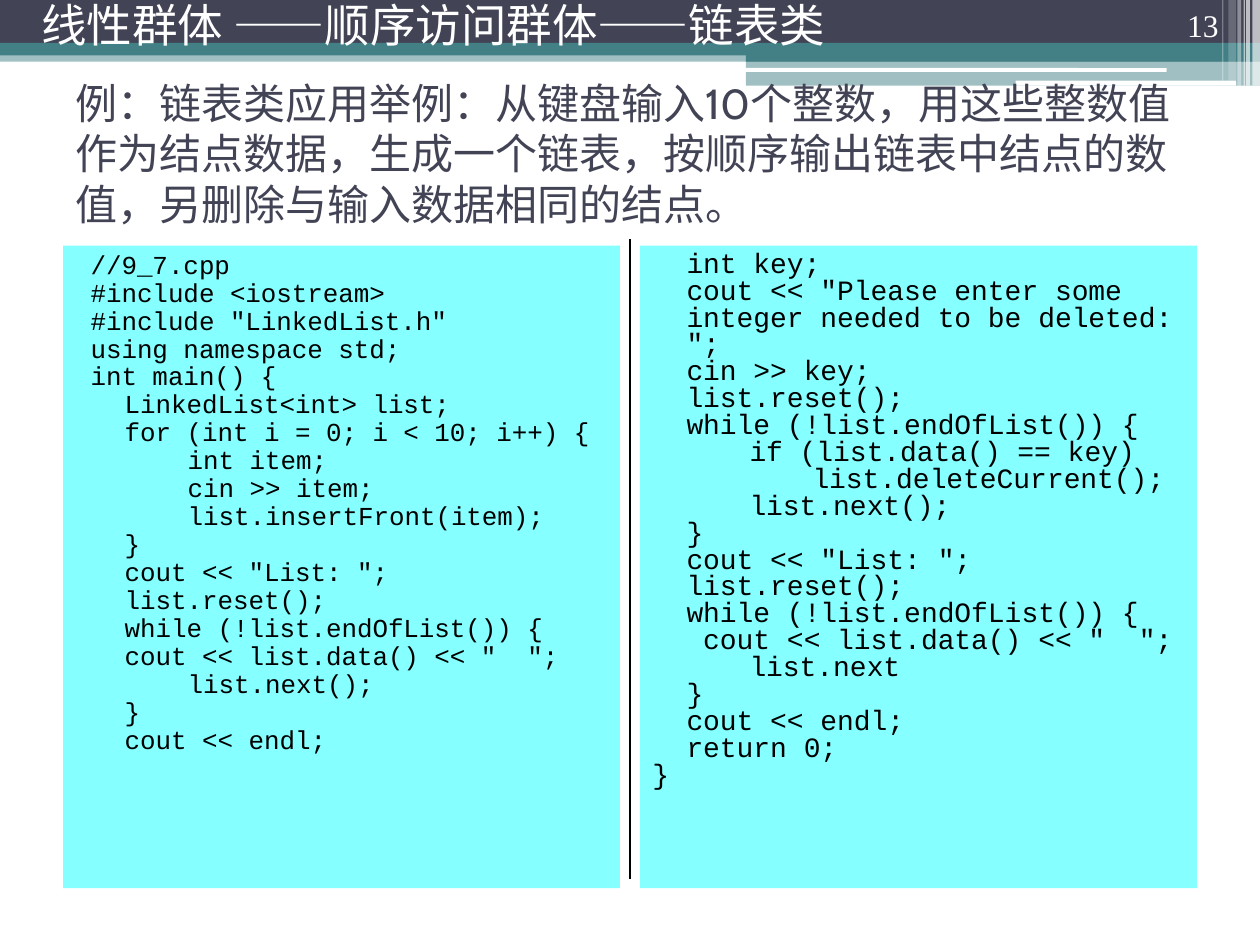
from pptx import Presentation
from pptx.dml.color import RGBColor
from pptx.enum.shapes import MSO_CONNECTOR, MSO_SHAPE
from pptx.enum.text import MSO_ANCHOR, PP_ALIGN
from pptx.oxml.ns import qn
from pptx.util import Inches, Pt
from lxml.etree import SubElement

NAVY = RGBColor(0x42, 0x44, 0x56)
TEAL = RGBColor(0x43, 0x80, 0x86)
CYAN = RGBColor(0x85, 0xFF, 0xFF)
WHITE = RGBColor(0xFF, 0xFF, 0xFF)
BLACK = RGBColor(0, 0, 0)

HEADING = "线性群体 ——顺序访问群体——链表类"
TASK = ("例：链表类应用举例：从键盘输入10个整数，用这些整数值作为结点数据，"
        "生成一个链表，按顺序输出链表中结点的数值，另删除与输入数据相同的结点。")
CODE_LEFT = [
    "//9_7.cpp",
    "#include <iostream>",
    '#include "LinkedList.h"',
    "using namespace std;",
    "int main() {",
    "\tLinkedList<int> list;",
    "\tfor (int i = 0; i < 10; i++) {",
    "\t\tint item;",
    "\t\tcin >> item;",
    "\t\tlist.insertFront(item);",
    "\t}",
    '\tcout << "List: ";',
    "\tlist.reset();",
    "\twhile (!list.endOfList()) {",
    '\tcout << list.data() << "  ";',
    "\t\tlist.next();\t",
    "\t}",
    "\tcout << endl;",
]
CODE_RIGHT = [
    "\tint key;",
    '\tcout << "Please enter some integer needed to be deleted: ";',
    "\tcin >> key;",
    "\tlist.reset();",
    "\twhile (!list.endOfList()) {",
    "\t\tif (list.data() == key)",
    "\t\t\tlist.deleteCurrent();",
    "\t\tlist.next();",
    "\t}",
    '\tcout << "List: ";',
    "\tlist.reset();",
    "\twhile (!list.endOfList()) {",
    '\t cout << list.data() << "  ";',
    "\t\tlist.next",
    "\t}",
    "\tcout << endl;",
    "\treturn 0;",
    "}",
]

# Banner: left, top, width, height, colour, opacity in percent
BANDS = [
    (0, 0.4, 10, 0.09, TEAL, 50),
    (0, 0, 10, 0.34, NAVY, 100),
    (0, 0.34, 10, 0.1, TEAL, 100),
    (5.92, 0.39, 4.08, 0.1, TEAL, 100),
    (5.92, 0.48, 4.08, 0.2, TEAL, 50),
]
PILLS = [(5.91, 0.54, 3.35, 0.03), (8.06, 0.64, 1.75, 0.04)]
# Stripes at the right end: left, width, height, opacity
STRIPES = [
    (9.94, 0.06, 0.68, 65), (9.89, 0.03, 0.68, 65), (9.87, 0.01, 0.68, 60),
    (9.82, 0.03, 0.68, 40), (9.75, 0.06, 0.64, 20), (9.7, 0.01, 0.64, 30),
]

prs = Presentation()
prs.slide_width, prs.slide_height = Inches(10), Inches(7.5)
s = prs.slides.add_slide(prs.slide_layouts[6])


def add_block(x, y, w, h, color, opacity=100, kind=MSO_SHAPE.RECTANGLE):
    sp = s.shapes.add_shape(kind, Inches(x), Inches(y), Inches(w), Inches(h))
    sp.shadow.inherit = False
    sp.fill.solid()
    sp.fill.fore_color.rgb = color
    sp.line.fill.background()
    if opacity < 100:
        clr = sp.fill._xPr.find(".//" + qn("a:srgbClr"))
        SubElement(clr, qn("a:alpha")).set("val", str(opacity * 1000))
    return sp


def write(sp, lines, size, font, color, anchor, align=PP_ALIGN.LEFT,
          spacing=None, margin=0, hanging=0):
    tf = sp.text_frame
    tf.word_wrap = True
    tf.vertical_anchor = anchor
    for i, line in enumerate(lines):
        p = tf.paragraphs[0] if i == 0 else tf.add_paragraph()
        p.text = line
        p.alignment = align
        if spacing:
            p.line_spacing = spacing
        pPr = p._p.get_or_add_pPr()
        pPr.set("marL", str(Inches(margin)))
        pPr.set("indent", str(-Inches(hanging)))
        tabs = SubElement(pPr, qn("a:tabLst"))
        for stop in range(8):
            tab = SubElement(tabs, qn("a:tab"))
            tab.set("pos", str(Inches(stop)))
            tab.set("algn", "l")
        for r in p.runs:
            r.font.size, r.font.name = Pt(size), font
            r.font.color.rgb = color


def add_label(x, y, w, h, text, *style, **options):
    sp = s.shapes.add_textbox(Inches(x), Inches(y), Inches(w), Inches(h))
    write(sp, [text], *style, **options)


# Banner
for band in BANDS:
    add_block(*band)
for pill in PILLS:
    add_block(*pill, WHITE, kind=MSO_SHAPE.ROUNDED_RECTANGLE)
for x, w, h, opacity in STRIPES:
    add_block(x, 0, w, h, WHITE, opacity)

# Task statement
add_label(0.5, 0.63, 9, 1.17, TASK, 24, "Cabin", NAVY, MSO_ANCHOR.MIDDLE)

# Two code panels, mirrored about the centre line
PANEL_W, MARGIN = 4.42, 0.5
for x, code, size, spacing, margin in (
        (MARGIN, CODE_LEFT, 14.8, 0.9, 0.39),
        (10 - MARGIN - PANEL_W, CODE_RIGHT, 16, 0.8, 0.27)):
    panel = add_block(x, 1.95, PANEL_W, 5.1, CYAN)
    write(panel, code, size, "Courier New", BLACK, MSO_ANCHOR.TOP,
          spacing=spacing, margin=margin, hanging=0.27)

# Page number
add_label(8.94, 0, 0.83, 0.4, "13", 18, "Times New Roman", WHITE,
          MSO_ANCHOR.BOTTOM, align=PP_ALIGN.RIGHT)

# Divider
divider = s.shapes.add_connector(MSO_CONNECTOR.STRAIGHT, Inches(5), Inches(1.9),
                                 Inches(5), Inches(6.98))
divider.line.color.rgb = BLACK
divider.line.width = Pt(0.75)
SubElement(divider._element.spPr, qn("a:effectLst"))

# Heading
add_label(0.23, 0, 9.1, 0.47, HEADING, 26, "Cabin", WHITE, MSO_ANCHOR.MIDDLE,
          spacing=0.8)

prs.save("out.pptx")
